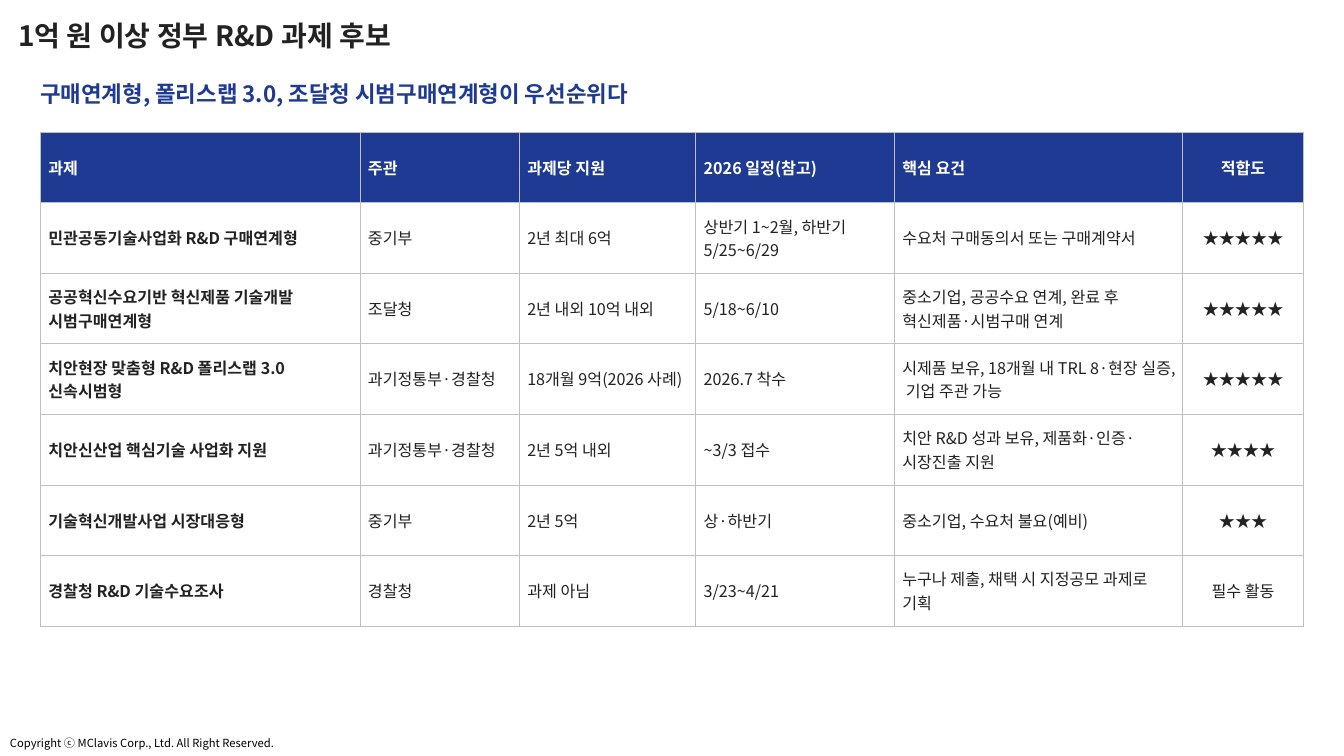
"""Build a slide that lists candidate government R&D programmes."""
from dataclasses import dataclass

from lxml import etree
from pptx import Presentation
from pptx.dml.color import RGBColor
from pptx.enum import text as t
from pptx.oxml import ns
from pptx.util import Inches, Pt

TITLE = "1억 원 이상 정부 R&D 과제 후보"
LEAD = "구매연계형, 폴리스랩 3.0, 조달청 시범구매연계형이 우선순위다"
RIGHTS = "Copyright ⓒ MClavis Corp., Ltd. All Right Reserved."
HEAD = ("과제", "주관", "과제당 지원", "2026 일정(참고)", "핵심 요건", "적합도")
ROWS = [
    ("민관공동기술사업화 R&D 구매연계형", "중기부", "2년 최대 6억",
     "상반기 1~2월, 하반기 5/25~6/29", "수요처 구매동의서 또는 구매계약서", "★★★★★"),
    ("공공혁신수요기반 혁신제품 기술개발 시범구매연계형", "조달청", "2년 내외 10억 내외",
     "5/18~6/10", "중소기업, 공공수요 연계, 완료 후 혁신제품·시범구매 연계", "★★★★★"),
    ("치안현장 맞춤형 R&D 폴리스랩 3.0 신속시범형", "과기정통부·경찰청",
     "18개월 9억(2026 사례)", "2026.7 착수",
     "시제품 보유, 18개월 내 TRL 8·현장 실증, 기업 주관 가능", "★★★★★"),
    ("치안신산업 핵심기술 사업화 지원", "과기정통부·경찰청", "2년 5억 내외",
     "~3/3 접수", "치안 R&D 성과 보유, 제품화·인증·시장진출 지원", "★★★★"),
    ("기술혁신개발사업 시장대응형", "중기부", "2년 5억", "상·하반기",
     "중소기업, 수요처 불요(예비)", "★★★"),
    ("경찰청 R&D 기술수요조사", "경찰청", "과제 아님", "3/23~4/21",
     "누구나 제출, 채택 시 지정공모 과제로 기획", "필수 활동"),
]
WIDTHS = (3.17, 1.58, 1.75, 1.97, 2.86, 1.2)
ROW_H = 0.7


@dataclass(frozen=True)
class Theme:
    font: str = "Noto Sans CJK KR"
    navy: str = "1F3A93"
    ink: str = "222222"
    white: str = "FFFFFF"
    black: str = "000000"
    rule: str = "BFBFBF"
    title: float = 20
    lead: float = 16
    cell: float = 11.5
    note: float = 8
    line: float = 0.5


THEME = Theme()


def write(frame, words, size, color, bold=False, align=t.PP_ALIGN.LEFT):
    frame.text = words
    para = frame.paragraphs[0]
    para.alignment = align
    font = para.font
    font.name, font.size, font.bold = THEME.font, Pt(size), bold
    font.color.rgb = RGBColor.from_string(color)
    east = etree.Element(ns.qn("a:ea"), typeface=THEME.font)
    para._p.pPr.find(ns.qn("a:defRPr")).find(ns.qn("a:latin")).addnext(east)
    return para


def place(shape, left, top, width, height):
    shape.left, shape.top = Inches(left), Inches(top)
    shape.width, shape.height = Inches(width), Inches(height)


def border(cell):
    props = cell._tc.get_or_add_tcPr()
    for spot, side in enumerate("LRTB"):
        line = etree.Element(ns.qn(f"a:ln{side}"), w=str(Pt(THEME.line)))
        fill = etree.SubElement(line, ns.qn("a:solidFill"))
        etree.SubElement(fill, ns.qn("a:srgbClr"), val=THEME.rule)
        props.insert(spot, line)


def add_grid(slide):
    rows = [HEAD, *ROWS]
    table = slide.shapes.add_table(
        len(rows), len(HEAD), Inches(0.4), Inches(1.31),
        Inches(sum(WIDTHS)), Inches(ROW_H * len(rows))).table
    for col, width in zip(table.columns, WIDTHS):
        col.width = Inches(width)
    for r, row in enumerate(rows):
        table.rows[r].height = Inches(ROW_H)
        for c, words in enumerate(row):
            cell = table.cell(r, c)
            cell.margin_left = cell.margin_right = Inches(0.08)
            cell.margin_top = cell.margin_bottom = Inches(0.04)
            cell.vertical_anchor = t.MSO_ANCHOR.MIDDLE
            cell.fill.solid()
            cell.fill.fore_color.rgb = RGBColor.from_string(
                THEME.white if r else THEME.navy)
            last = c == len(HEAD) - 1
            write(cell.text_frame, words, THEME.cell,
                  THEME.ink if r else THEME.white, r == 0 or c == 0,
                  t.PP_ALIGN.CENTER if last else t.PP_ALIGN.LEFT)
            border(cell)


def main():
    deck = Presentation()
    deck.slide_width, deck.slide_height = Inches(13.33), Inches(7.5)
    slide = deck.slides.add_slide(deck.slide_layouts[5])

    title = slide.shapes.title
    place(title, 0.08, 0.18, 11.5, 0.39)
    frame = title.text_frame
    frame.auto_size = t.MSO_AUTO_SIZE.NONE
    frame.vertical_anchor = t.MSO_ANCHOR.MIDDLE
    write(frame, TITLE, THEME.title, THEME.ink, True).line_spacing = 0.9

    lead = slide.shapes.add_textbox(0, 0, 0, 0)
    place(lead, 0.4, 0.7, 12.53, 0.46)
    frame = lead.text_frame
    frame.word_wrap = True
    frame.vertical_anchor = t.MSO_ANCHOR.MIDDLE
    frame.margin_left = frame.margin_right = 0
    frame.margin_top = frame.margin_bottom = 0
    write(frame, LEAD, THEME.lead, THEME.navy, True).space_after = Pt(4)

    add_grid(slide)

    note = slide.shapes.add_textbox(0, 0, 0, 0)
    place(note, 0, 7.26, 2.83, 0.24)
    note.text_frame.word_wrap = False
    note.text_frame.auto_size = t.MSO_AUTO_SIZE.SHAPE_TO_FIT_TEXT
    write(note.text_frame, RIGHTS, THEME.note, THEME.black)

    deck.save("out.pptx")


if __name__ == "__main__":
    main()
